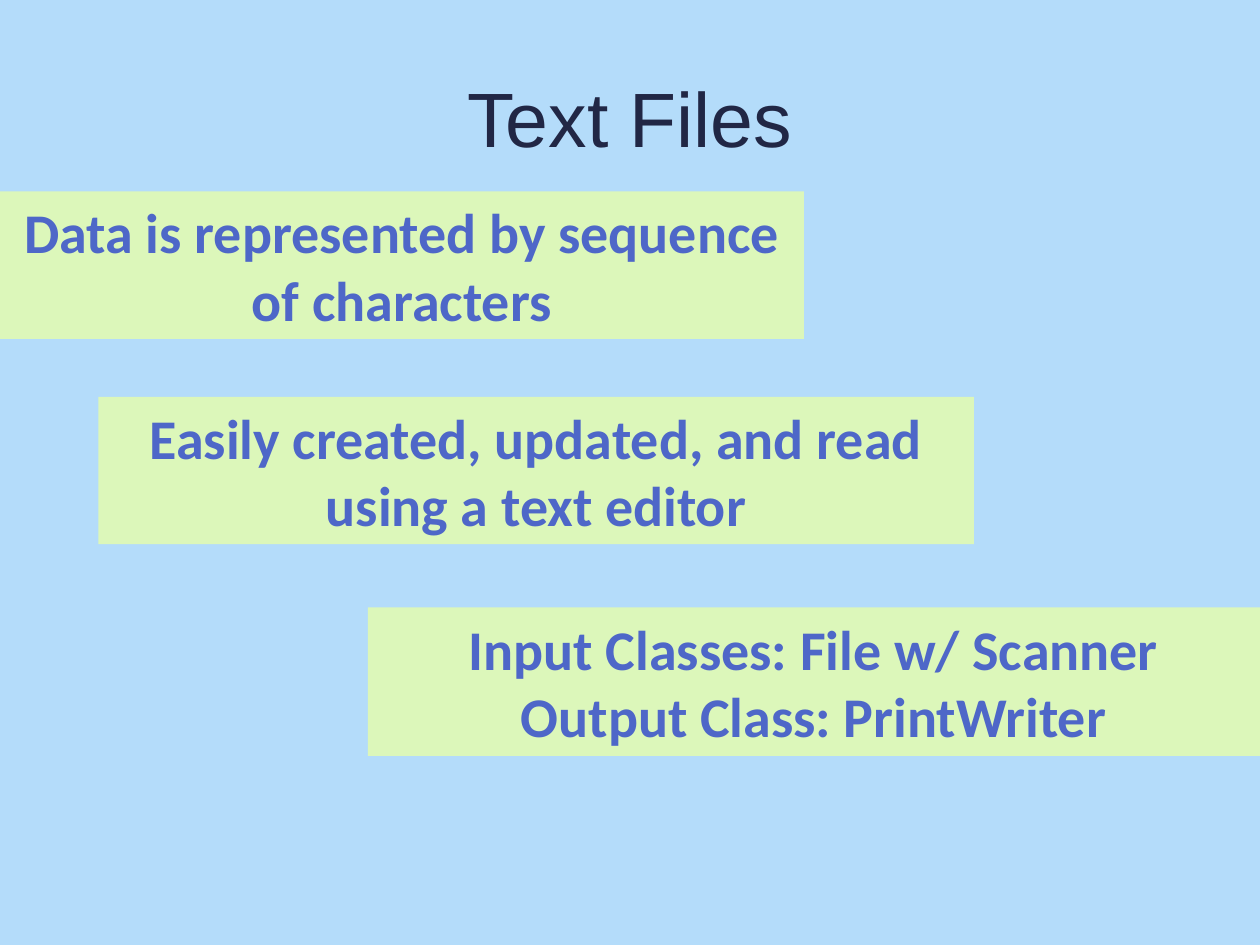
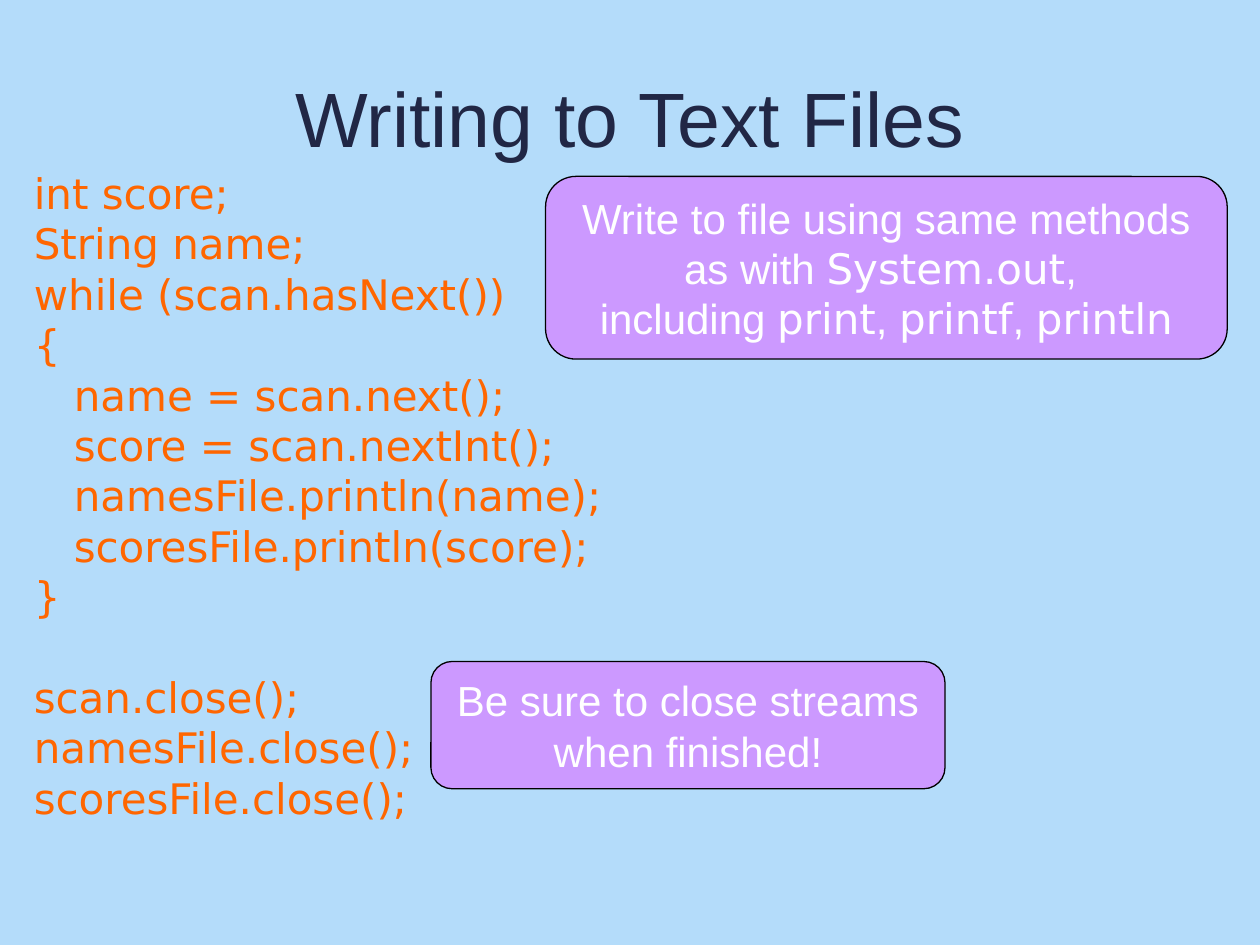
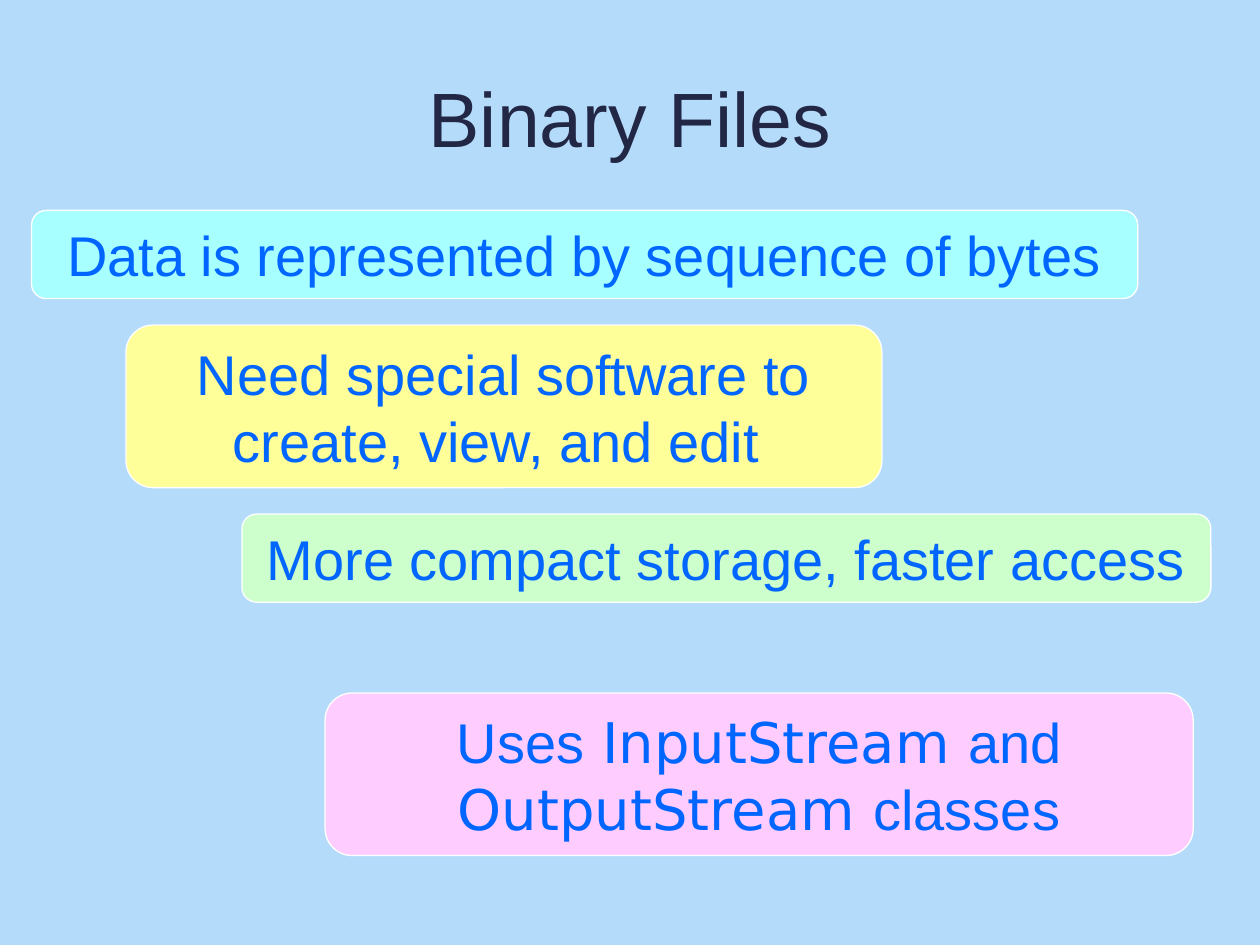
from pptx import Presentation
from pptx.dml.color import RGBColor
from pptx.enum.shapes import MSO_SHAPE
from pptx.enum.text import MSO_ANCHOR, MSO_AUTO_SIZE, PP_ALIGN
from pptx.util import Emu, Pt

RECT = MSO_SHAPE.RECTANGLE
ROUND = MSO_SHAPE.ROUNDED_RECTANGLE
MIDDLE = MSO_ANCHOR.MIDDLE
FIXED = MSO_AUTO_SIZE.NONE
LEFT, CENTER = PP_ALIGN.LEFT, PP_ALIGN.CENTER
TITLE_ONLY = 5
EMU_PER_PX = 9144
SANS, MONO = "Arial", "DejaVu Sans"

TITLE = {"size": 44, "name": SANS, "color": "212745"}
BANNER = {"size": 32, "name": "Calibri", "color": "4E67C8", "bold": True}
CODE = {"size": 24, "name": MONO, "color": "FF6600"}
CALLOUT = {"size": 24, "name": SANS, "color": "FFFFFF"}
CARD = {"size": 32, "name": SANS, "color": "0066FF"}

BANNERS = [
    ((0, 152, 638, 117), ["Data is represented by sequence of characters"]),
    ((78, 315, 695, 117), ["Easily created, updated, and read using a text editor"]),
    ((292, 482, 708, 118), ["Input Classes: File w/ Scanner", "Output Class: PrintWriter"]),
]
SCORE_CODE = """int score;
String name;
while (scan.hasNext())
{
   name = scan.next();
   score = scan.nextInt();
   namesFile.println(name);
   scoresFile.println(score);
}

scan.close();
namesFile.close();
scoresFile.close();"""
CALLOUTS = [
    ((342, 525, 408, 101), ["Be sure to close streams when finished!"]),
    ((433, 140, 541, 145), ["Write to file using same methods as with `System.out`, ",
                            "including `print`, `printf`, `println`"]),
]
CARDS = [
    ((25, 167, 878, 70), "A7FFFF", "Data is represented by sequence of bytes"),
    ((192, 408, 769, 70), "CCFFCC", "More compact storage, faster access"),
    ((100, 258, 600, 129), "FFFF99", "Need special software to create, view, and edit "),
    ((258, 550, 689, 129), "FFCCFF", "Uses` InputStream `and` OutputStream `classes"),
]


def rgb(value):
    return RGBColor.from_string(value)


def px(*values):
    return [Emu(v * EMU_PER_PX) for v in values]


class Deck:
    def __init__(self):
        self.prs = Presentation()
        self.prs.slide_width, self.prs.slide_height = px(1000, 750)
        fill = self.prs.slide_master.background.fill
        fill.solid()
        fill.fore_color.rgb = rgb("B4DCFA")

    def slide(self, title):
        layout = self.prs.slide_layouts[TITLE_ONLY]
        self.s = self.prs.slides.add_slide(layout)
        sp = self.s.shapes.title
        sp.left, sp.top, sp.width, sp.height = px(50, 30, 900, 125)
        self.text(sp, [title], TITLE)

    def style_font(self, font, style):
        for key, value in style.items():
            if key == "color":
                font.color.rgb = rgb(value)
            else:
                setattr(font, key, Pt(value) if key == "size" else value)

    def text(self, sp, lines, style, align=CENTER):
        tf = sp.text_frame
        frame = {"word_wrap": True, "auto_size": FIXED, "vertical_anchor": MIDDLE}
        for key, value in frame.items():
            setattr(tf, key, value)
        pitch = Pt(style["size"] * 1.2)
        p, gap = tf.paragraphs[0], 0
        for i, line in enumerate(lines):
            if not line:
                gap += pitch
                continue
            if i:
                p = tf.add_paragraph()
            p.alignment = align
            p.line_spacing = pitch
            if gap:
                p.space_before = Emu(gap)
                gap = 0
            for j, part in enumerate(line.split("`")):
                if part:
                    r = p.add_run()
                    r.text = part
                    self.style_font(r.font, {**style, "name": MONO} if j % 2 else style)

    def box(self, kind, at, lines, style, fill, line=None):
        sp = self.s.shapes.add_shape(kind, *px(*at))
        sp.shadow.inherit = False
        sp.fill.solid()
        sp.fill.fore_color.rgb = rgb(fill)
        if line:
            sp.line.color.rgb = rgb(line)
            sp.line.width = Pt(0.75)
        else:
            sp.line.fill.background()
        self.text(sp, lines, style)

    def code(self, at, source):
        sp = self.s.shapes.add_textbox(*px(*at))
        self.text(sp, source.split("\n"), CODE, LEFT)


def main():
    deck = Deck()

    deck.slide("Text Files")
    for at, lines in BANNERS:
        deck.box(RECT, at, lines, BANNER, "DCF7BA")

    deck.slide("Writing to Text Files")
    deck.code((17, 128, 958, 530), SCORE_CODE)
    for at, lines in CALLOUTS:
        deck.box(ROUND, at, lines, CALLOUT, "CC99FF", "000000")

    deck.slide("Binary Files")
    for at, fill, text in CARDS:
        deck.box(ROUND, at, [text], CARD, fill, "FFFFFF")

    deck.prs.save("out.pptx")


if __name__ == "__main__":
    main()
